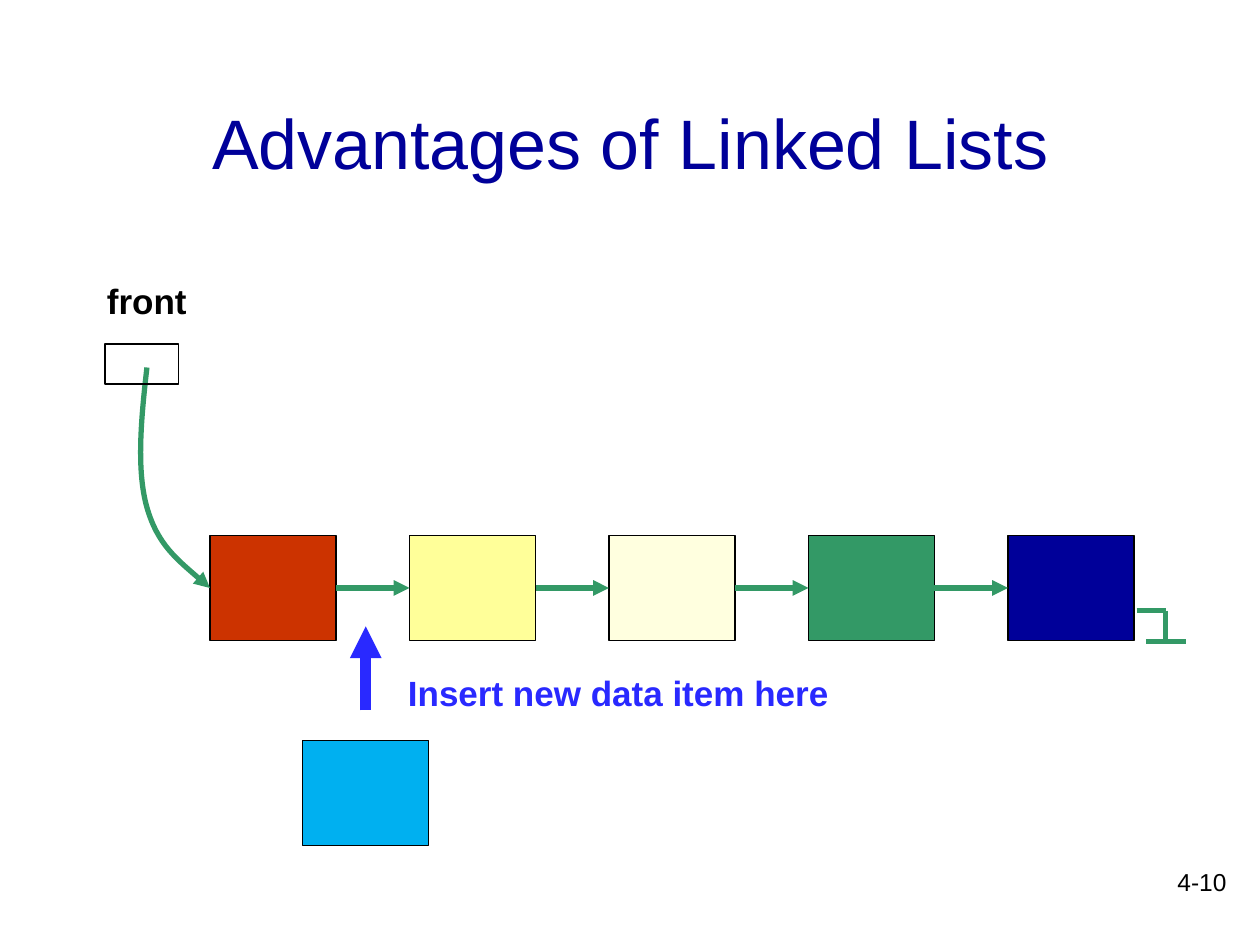
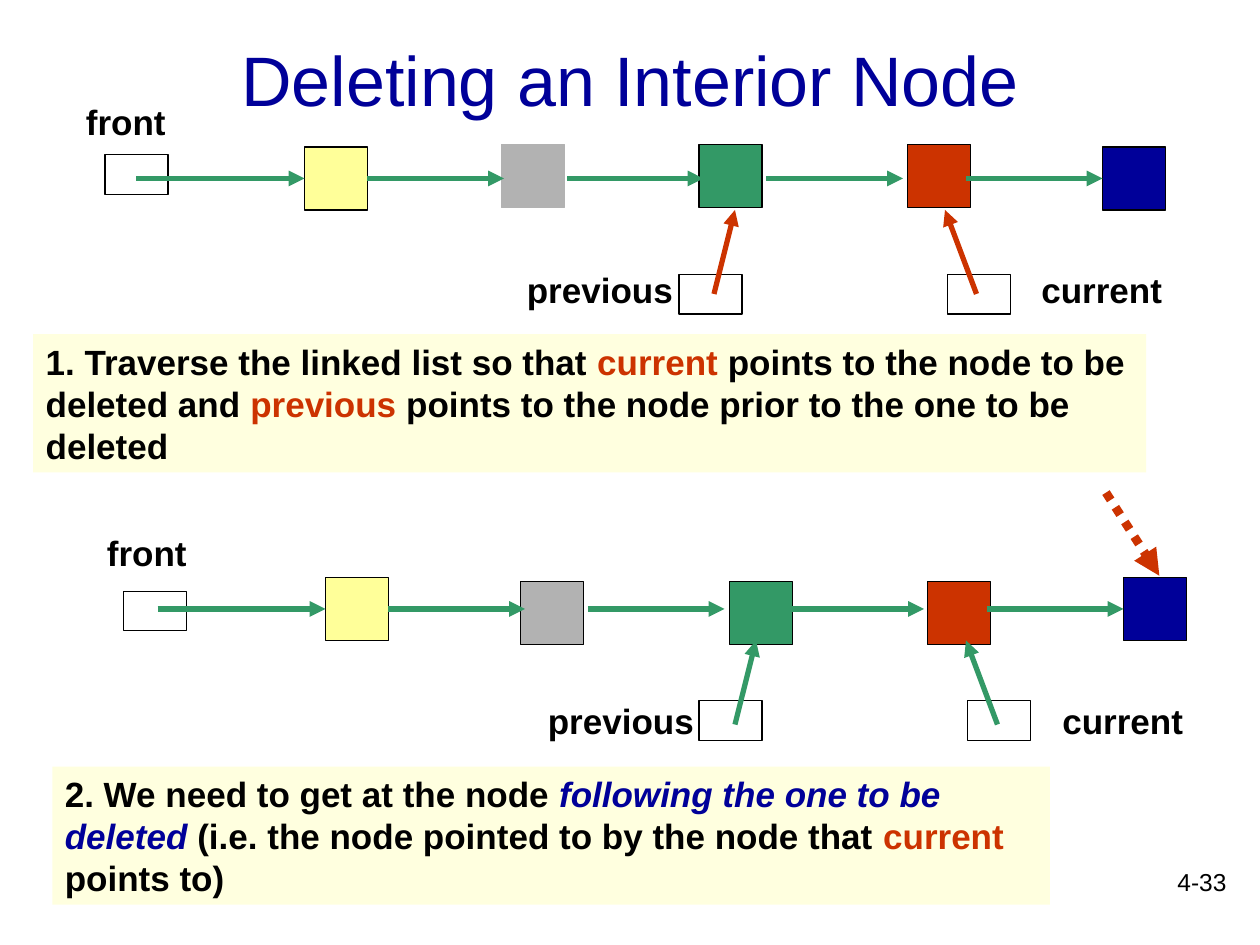
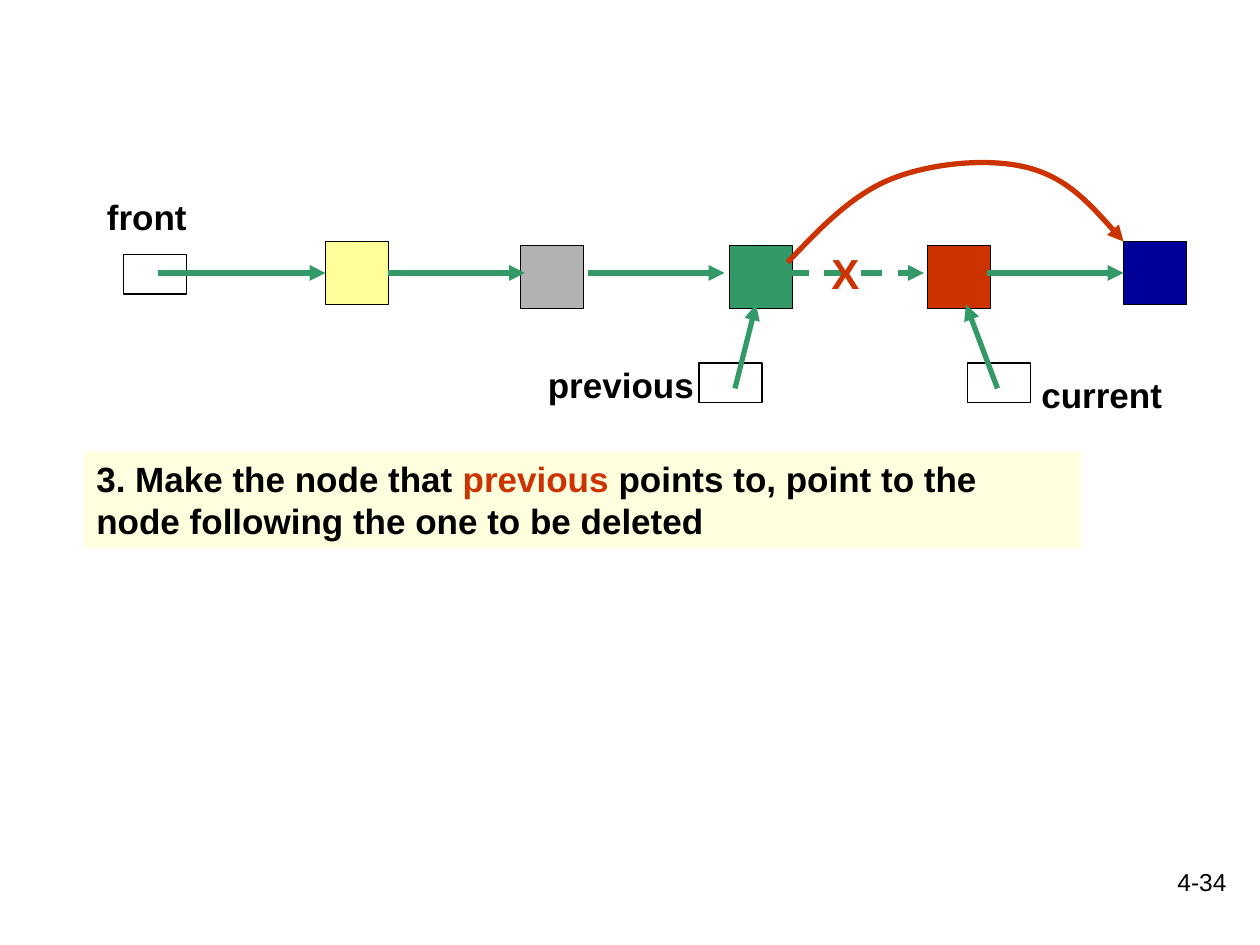
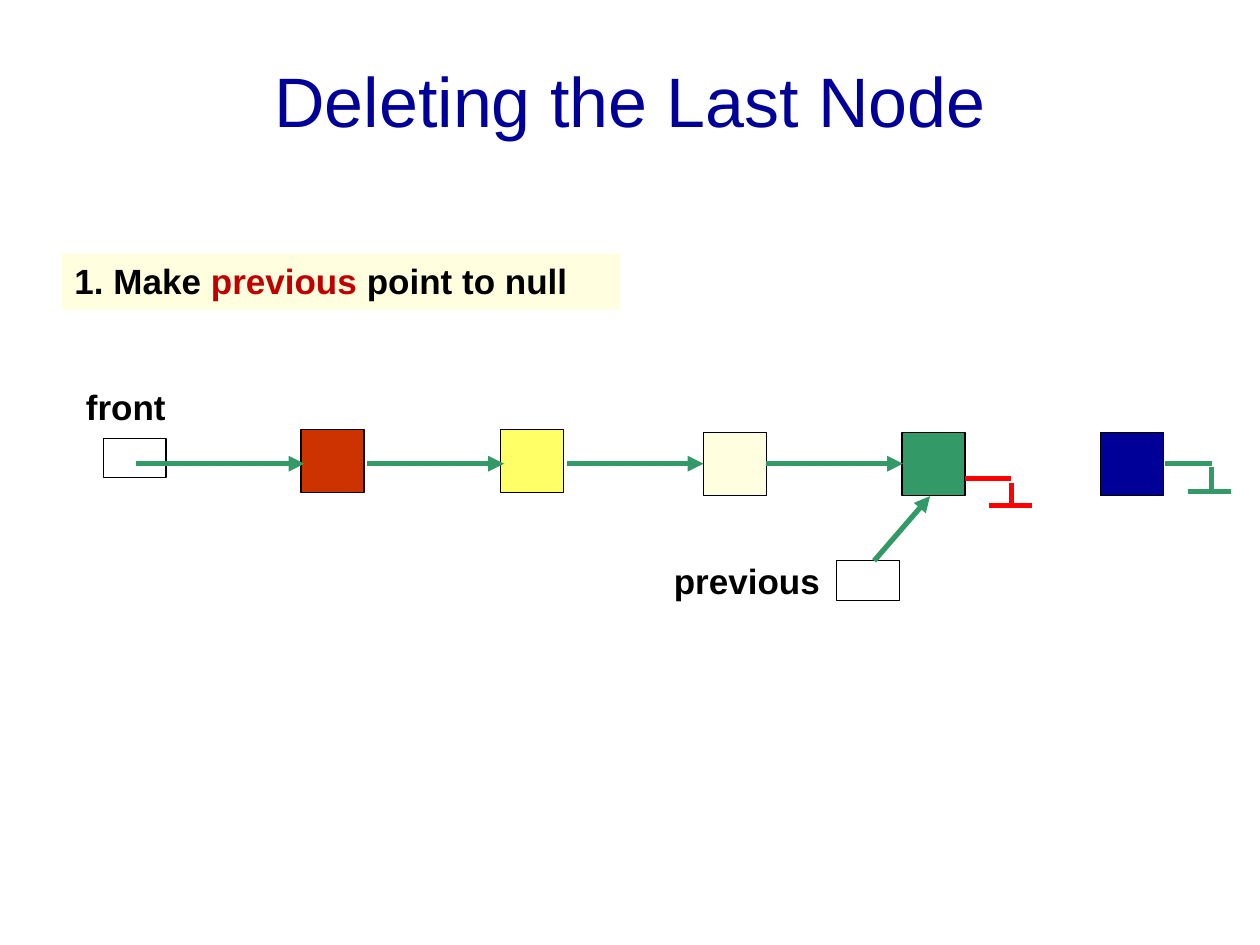
from dataclasses import dataclass
from pptx import Presentation
from pptx.dml.color import RGBColor
from pptx.enum.dml import MSO_LINE
from pptx.enum.shapes import MSO_CONNECTOR, MSO_SHAPE
from pptx.enum.text import MSO_ANCHOR, MSO_AUTO_SIZE, PP_ALIGN
from pptx.oxml.ns import qn
from pptx.util import Pt
from lxml.etree import SubElement


@dataclass(frozen=True)
class Theme:
    font: str = "Arial"
    title_size: int = 40
    label_size: int = 20
    cross_size: int = 24
    page_size: int = 14
    outline: float = 0.75
    link: float = 3
    black: str = "000000"
    navy: str = "000099"
    green: str = "339966"
    red: str = "CC3300"
    dark_red: str = "C00000"
    bright_red: str = "FF0000"
    gray: str = "B2B2B2"
    yellow: str = "FFFF99"
    strong_yellow: str = "FFFF66"
    cream: str = "FFFFDF"
    sky: str = "00B0F0"
    insert_blue: str = "2929FF"


T = Theme()

# ---- Content: all positions in points ----
# Nodes, boxes, labels and pointers of a chain are offsets from its origin,
# the point where the front arrow starts.
FRONT_LABEL = (-36, -48)
FRONT_ARROW, FIRST_LINK, LINK, LINK_PITCH = 96, 132, 78, 114
NODE, BOX = 36, (36, 22.5)
LABEL = (102, 31)
PREVIOUS_ARROW = ((330, 66), (342, 18))
CURRENT_ARROW = ((480, 66), (462, 18))

LATER_NODES = [(T.yellow, 96, -18), (T.gray, 207.5, -15.5), (T.green, 327, -15.5),
               (T.red, 440, -15.5), (T.navy, 552, -18)]

BEFORE_DELETE = dict(
    origin=(78, 102), front_box=(-18, -13.5), links=4, pointer_colour=T.red,
    nodes=[(T.yellow, 96, -18), (T.gray, 208.5, -19.5, T.gray), (T.green, 321.5, -19.5),
           (T.red, 440.5, -19.5), (T.navy, 552, -18)],
    pointers=[("previous", (216, 48), (310, 55), PREVIOUS_ARROW),
              ("current", (510, 48), (463.5, 55), CURRENT_ARROW)])
FIND_FOLLOWING = dict(
    origin=(90, 348), front_box=(-19.5, -10), links=4, pointer_colour=T.green,
    nodes=LATER_NODES,
    pointers=[("previous", (216, 48), (309.5, 52.5), PREVIOUS_ARROW),
              ("current", (510, 48), (463, 52.5), CURRENT_ARROW)])
BYPASS = dict(
    origin=(90, 156), front_box=(-19.5, -10.5), links=4, pointer_colour=T.green,
    nodes=LATER_NODES, broken_link=3,
    pointers=[("previous", (216, 48), (309.5, 51.5), PREVIOUS_ARROW),
              ("current", (498, 54), (463, 51.5), CURRENT_ARROW)])
LAST_NODE = dict(
    origin=(78, 265), front_box=(-19, -14.5), links=3, pointer_colour=T.green,
    nodes=[(T.red, 94, -19.5), (T.strong_yellow, 208, -19.5), (T.cream, 324, -18),
           (T.green, 437.5, -18), (T.navy, 551, -18)],
    pointers=[("previous", (300, 51), (400, 55.5), ((421.5, 55.5), (453.5, 18.5)))])

BIG_NODES = [T.red, T.yellow, T.cream, T.green, T.navy]
BIG_LEFT, BIG_TOP, BIG_SIZE, BIG_PITCH = 120, 306, (72, 60), 114
BIG_LINK_Y = 336

# Notes: left, top, width, height, then (text, colour, italic) runs
TRAVERSE = ((19, 191, 636, 79), [
    ("1. Traverse the linked list so that", T.black, False),
    (" current", T.red, False),
    (" points to the node to be deleted and ", T.black, False),
    ("previous", T.red, False),
    (" points to the node prior to the one to be deleted", T.black, False)])
FOLLOWING = ((30, 438, 570, 79), [
    ("2. We need to get at the node ", T.black, False),
    ("following the one to be deleted ", T.navy, True),
    ("(i.e. the node pointed to by the node that ", T.black, False),
    ("current ", T.red, False),
    ("points to)", T.black, False)])
RELINK = ((48, 258, 570, 55), [
    ("3. Make the node that ", T.black, False),
    ("previous", T.red, False),
    (" points to, point to the node following the one to be deleted", T.black, False)])
MAKE_NULL = ((35.5, 145, 319, 32), [
    ("1. Make ", T.black, False),
    ("previous", T.dark_red, False),
    (" point to null", T.black, False)])

# Curves: start point followed by cubic control points
FRONT_CURVE = [(84, 210), (80.5, 240), (78, 269), (84, 290), (90, 311), (105, 323), (120, 336)]
BYPASS_CURVE = [(450, 150), (468.5, 130.5), (487, 111), (510, 102), (533, 93), (566, 90),
                (588, 96), (610, 102), (626, 120), (642, 138)]


# ---- Drawing helpers ----
def rgb(colour):
    return RGBColor.from_string(colour)


def pts(*lengths):
    return [Pt(length) for length in lengths]


def shift(origin, offset):
    return origin[0] + offset[0], origin[1] + offset[1]


def style_run(run, size, colour, bold=False, italic=False):
    run.font.name, run.font.size = T.font, Pt(size)
    run.font.bold, run.font.italic = bold, italic
    run.font.color.rgb = rgb(colour)


def add_text(slide, text, place, size=T.label_size, colour=T.black, bold=True,
             align=PP_ALIGN.LEFT, wrap=True):
    frame = slide.shapes.add_textbox(*pts(*place)).text_frame
    frame.word_wrap = wrap
    frame.text = text
    frame.paragraphs[0].alignment = align
    style_run(frame.paragraphs[0].runs[0], size, colour, bold)


def add_rect(slide, place, fill=None, outline=T.black):
    rect = slide.shapes.add_shape(MSO_SHAPE.RECTANGLE, *pts(*place))
    rect.shadow.inherit = False
    if fill:
        rect.fill.solid()
        rect.fill.fore_color.rgb = rgb(fill)
    else:
        rect.fill.background()
    if outline:
        rect.line.color.rgb = rgb(outline)
        rect.line.width = Pt(T.outline)
    else:
        rect.line.fill.background()
    return rect


def style_line(line, colour, width=T.link, dash=None, arrow=True):
    line.color.rgb = rgb(colour)
    line.width = Pt(width)
    if dash:
        line.dash_style = dash
    if arrow:
        SubElement(line._get_or_add_ln(), qn("a:tailEnd"), type="triangle")


def add_line(slide, start, end, colour=T.green, **style):
    connector = slide.shapes.add_connector(MSO_CONNECTOR.STRAIGHT, *pts(*start, *end))
    style_line(connector.line, colour, **style)
    SubElement(connector._element.spPr, qn("a:effectLst"))


def add_curve(slide, points, colour):
    start, *controls = points
    builder = slide.shapes.build_freeform(*pts(*start))
    builder.add_line_segments([pts(*point) for point in controls], close=False)
    curve = builder.convert_to_shape()
    curve.shadow.inherit = False
    curve.fill.background()
    style_line(curve.line, colour)
    # Turn each three straight segments into one cubic segment
    segments = list(curve._element.iter(qn("a:lnTo")))
    outline = segments[0].getparent()
    for first in range(0, len(segments), 3):
        cubic = SubElement(outline, qn("a:cubicBezTo"))
        for segment in segments[first:first + 3]:
            cubic.append(segment[0])
            outline.remove(segment)


def add_null_mark(slide, start, stem_top, bottom, bar, stem_x, colour=T.green):
    lines = [(start, (stem_x, start[1])), ((stem_x, stem_top), (stem_x, bottom)),
             ((bar[0], bottom), (bar[1], bottom))]
    for begin, end in lines:
        add_line(slide, begin, end, colour, arrow=False)


def add_note(slide, note):
    place, parts = note
    frame = add_rect(slide, place, T.cream, outline=None).text_frame
    frame.word_wrap = True
    frame.vertical_anchor = MSO_ANCHOR.TOP
    paragraph = frame.paragraphs[0]
    paragraph.alignment = PP_ALIGN.LEFT
    for text, colour, italic in parts:
        run = paragraph.add_run()
        run.text = text
        style_run(run, T.label_size, colour, True, italic)


def add_chain(slide, chain):
    origin = chain["origin"]
    add_rect(slide, (*shift(origin, chain["front_box"]), *BOX))
    add_text(slide, "front", (*shift(origin, FRONT_LABEL), 72, 31))
    for fill, dx, dy, *outline in chain["nodes"]:
        add_rect(slide, (*shift(origin, (dx, dy)), NODE, NODE), fill, *outline)
    spans = [(0, FRONT_ARROW)]
    for i in range(chain["links"]):
        left = FIRST_LINK + i * LINK_PITCH
        spans.append((left, left + LINK))
    for i, (left, right) in enumerate(spans):
        dash = MSO_LINE.DASH if i == chain.get("broken_link") else None
        add_line(slide, shift(origin, (left, 0)), shift(origin, (right, 0)), dash=dash)
    for name, label, box, (start, end) in chain["pointers"]:
        add_rect(slide, (*shift(origin, box), *BOX))
        add_text(slide, name, (*shift(origin, label), *LABEL))
        add_line(slide, shift(origin, start), shift(origin, end), chain["pointer_colour"])


def new_slide(deck, title=None, top=0, height=0, page=None):
    slide = deck.slides.add_slide(deck.slide_layouts[5 if title else 6])
    if title:
        heading = slide.shapes.title
        heading.left, heading.top, heading.width, heading.height = pts(54, top, 612, height)
        frame = heading.text_frame
        frame.text = title
        frame.auto_size = MSO_AUTO_SIZE.NONE
        frame.vertical_anchor = MSO_ANCHOR.MIDDLE
        frame.paragraphs[0].alignment = PP_ALIGN.CENTER
        style_run(frame.paragraphs[0].runs[0], T.title_size, T.navy)
    if page:
        add_text(slide, page, (558, 492, 150, 36), T.page_size, bold=False,
                 align=PP_ALIGN.RIGHT)
    return slide


# ---- Slides ----
def advantages(deck):
    slide = new_slide(deck, "Advantages of Linked Lists", 36, 90, "4-10")
    lefts = [BIG_LEFT + i * BIG_PITCH for i in range(len(BIG_NODES))]
    for left, fill in zip(lefts, BIG_NODES):
        add_rect(slide, (left, BIG_TOP, *BIG_SIZE), fill)
    for left, following in zip(lefts, lefts[1:]):
        add_line(slide, (left + BIG_SIZE[0], BIG_LINK_Y), (following, BIG_LINK_Y))
    add_text(slide, "front", (54, 156, 72, 31))
    add_curve(slide, FRONT_CURVE, T.green)
    add_rect(slide, (60, 196.5, 42, 23))
    add_null_mark(slide, (649.5, 349), 349, 366.5, (655, 677.5), 666)
    add_rect(slide, (173, 423, *BIG_SIZE), T.sky)
    add_line(slide, (209, 406), (209, 358), T.insert_blue, width=6)
    add_text(slide, "Insert new data item here", (226, 380, 256, 31.5),
             colour=T.insert_blue, wrap=False)


def interior_node(deck):
    slide = new_slide(deck, "Deleting an Interior Node", 12, 66, "4-33")
    for chain, note in ((BEFORE_DELETE, TRAVERSE), (FIND_FOLLOWING, FOLLOWING)):
        add_chain(slide, chain)
        add_note(slide, note)
    add_line(slide, (632, 281.5), (662.5, 329), T.red, width=5, dash=MSO_LINE.ROUND_DOT)


def bypass_node(deck):
    slide = new_slide(deck, page="4-34")
    add_chain(slide, BYPASS)
    add_note(slide, RELINK)
    add_text(slide, "X", (468, 138, 36, 36), T.cross_size, T.red)
    add_curve(slide, BYPASS_CURVE, T.red)


def last_node(deck):
    slide = new_slide(deck, "Deleting the Last Node", 12, 90)
    add_note(slide, MAKE_NULL)
    add_chain(slide, LAST_NODE)
    add_null_mark(slide, (665.5, 265), 267, 281, (679, 703.5), 692.5)
    add_null_mark(slide, (551.5, 273.5), 276, 289, (565, 589.5), 578, T.bright_red)


def main():
    deck = Presentation()
    deck.slide_width, deck.slide_height = pts(720, 540)
    for build in (advantages, interior_node, bypass_node, last_node):
        build(deck)
    deck.save("out.pptx")


if __name__ == "__main__":
    main()
